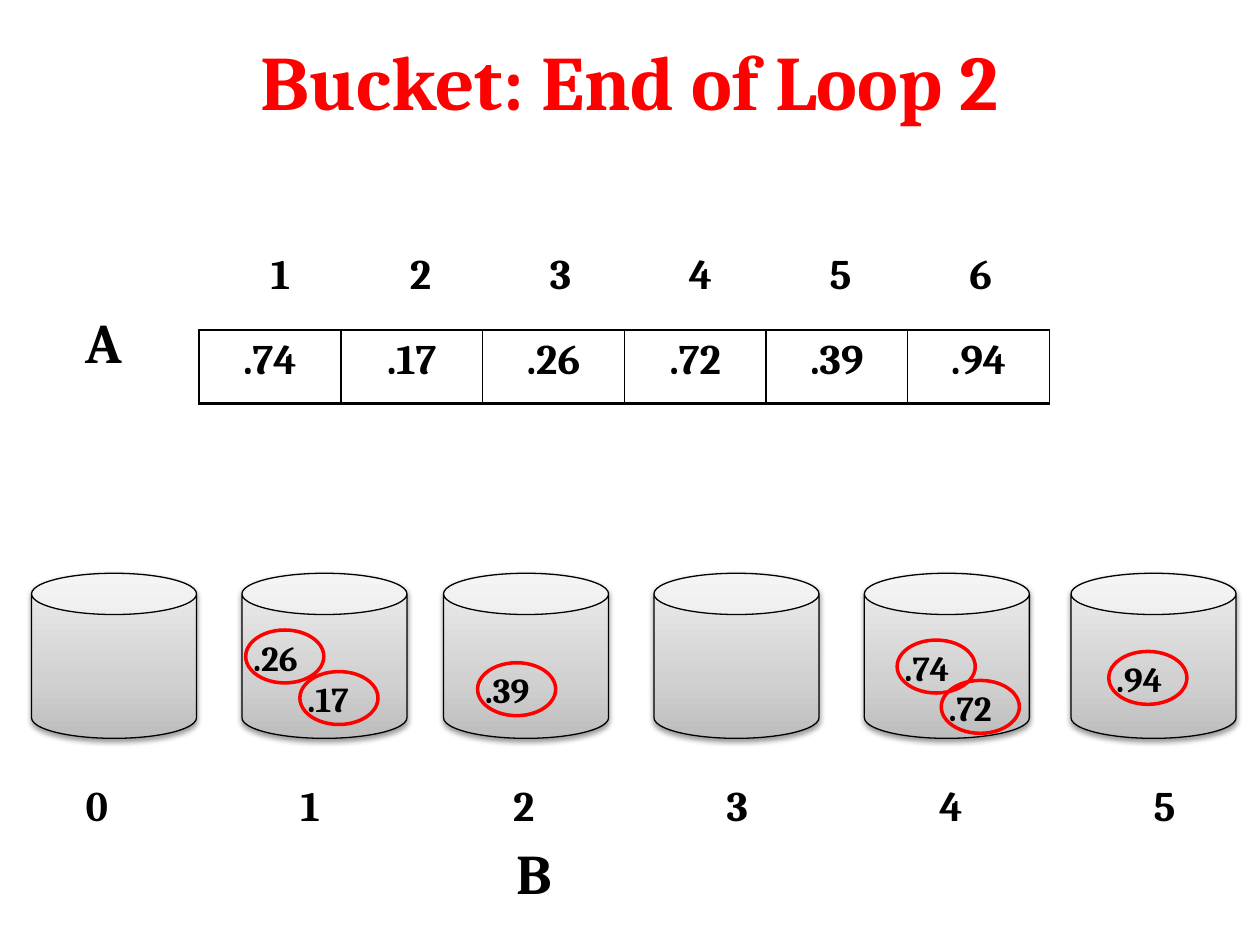
"""Build the bucket sort slide showing array A spread over buckets B."""
import lxml.etree
import pptx
import pptx.dml.color
import pptx.enum.dml
import pptx.enum.shapes
import pptx.enum.text
import pptx.oxml
import pptx.oxml.ns
import pptx.util

Inches = pptx.util.Inches
Pt = pptx.util.Pt
SHAPE = pptx.enum.shapes.MSO_SHAPE
CENTER = pptx.enum.text.PP_ALIGN.CENTER

THEME = {
    "font": "Cambria",
    "ink": "000000",
    "accent": "FF0000",
    "bucket_stops": [(0, "BDBDBD"), (35, "D1D1D1"), (100, "EEEEEE")],
    "title": 44,
    "name": 32,
    "cell": 24,
    "ball": 20,
}

TITLE = "Bucket: End of Loop 2"
ARRAY_NAMES = [("A", 0.58, 2.39), ("B", 4, 6.61)]
ROWS = [
    {"values": ["1", "2", "3", "4", "5", "6"], "at": (1.67, 1.95, 6.67, 0.5), "borders": {}},
    {"values": [".74", ".17", ".26", ".72", ".39", ".94"], "at": (1.58, 2.62, 6.75, 0.58),
     "borders": {"L": 1, "R": 1, "T": 1, "B": 2}},
    {"values": ["0", "1", "2", "3", "4", "5"], "at": (-0.08, 6.17, 10.17, 0.5), "borders": {}},
]
BUCKET_LEFTS = [0.25, 1.92, 3.52, 5.19, 6.86, 8.5]
BUCKET_TOP, BUCKET_SIZE = 4.55, 1.31
BALLS = [
    (".74", 7.12, 5.08), (".17", 2.38, 5.33), (".26", 1.95, 5),
    (".72", 7.47, 5.4), (".39", 3.79, 5.26), (".94", 8.8, 5.17),
]
BALL_WIDTH, BALL_HEIGHT = 0.62, 0.42
BALL_TEXT_SHIFT = 0.04


def rgb(value):
    return pptx.dml.color.RGBColor.from_string(value)


def write(frame, text, role, color="ink", align=None):
    paragraph = frame.paragraphs[0]
    paragraph.text = text
    paragraph.alignment = align
    font = paragraph.runs[0].font
    style = {"name": THEME["font"], "size": Pt(THEME[role]), "bold": True}
    for attribute, value in style.items():
        setattr(font, attribute, value)
    font.color.rgb = rgb(THEME[color])


def add_label(slide, text, role, left, top, width, height):
    box = slide.shapes.add_textbox(*map(Inches, (left, top, width, height)))
    box.text_frame.word_wrap = True
    write(box.text_frame, text, role)


def add_border(cell, side, width):
    border = pptx.oxml.parse_xml(
        f'<a:ln{side} {pptx.oxml.ns.nsdecls("a")} w="{Pt(width)}"><a:solidFill>'
        f'<a:srgbClr val="{THEME["ink"]}"/></a:solidFill></a:ln{side}>')
    properties = cell._tc.get_or_add_tcPr()
    properties.insert(len(properties) - 1, border)


def add_row(slide, values, at, borders):
    left, top, width, height = map(Inches, at)
    table = slide.shapes.add_table(1, len(values), left, top, width, height).table
    table.first_row = table.horz_banding = False
    for cell, value in zip(table.iter_cells(), values):
        cell.fill.background()
        write(cell.text_frame, value, "cell", align=CENTER)
        for side, line_width in borders.items():
            add_border(cell, side, line_width)


def add_outlined(slide, kind, at, color, width):
    shape = slide.shapes.add_shape(kind, *map(Inches, at))
    shape.shadow.inherit = False
    shape.line.color.rgb = rgb(THEME[color])
    shape.line.width = Pt(width)
    return shape


def add_bucket(slide, left):
    bucket = add_outlined(
        slide, SHAPE.CAN, (left, BUCKET_TOP, BUCKET_SIZE, BUCKET_SIZE), "ink", 0.75)
    bucket.fill.gradient()
    bucket.fill.gradient_angle = 90
    qn = pptx.oxml.ns.qn
    stops = next(bucket.element.iter(qn("a:gsLst")))
    for stop in list(stops):
        stops.remove(stop)
    for position, color in THEME["bucket_stops"]:
        stop = lxml.etree.SubElement(stops, qn("a:gs"), pos=str(position * 1000))
        lxml.etree.SubElement(stop, qn("a:srgbClr"), val=color)
    effects = next(bucket.element.iter(qn("a:effectLst")))
    shadow = lxml.etree.SubElement(
        effects, qn("a:outerShdw"), blurRad=str(Pt(3.1)), dist=str(Pt(1.6)),
        dir="5400000", rotWithShape="0")
    shade = lxml.etree.SubElement(shadow, qn("a:srgbClr"), val=THEME["ink"])
    lxml.etree.SubElement(shade, qn("a:alpha"), val="38000")


def add_ball(slide, value, left, top):
    add_label(slide, value, "ball", left - BALL_TEXT_SHIFT, top, 0.82, 0.44)
    ring = add_outlined(
        slide, SHAPE.OVAL, (left, top, BALL_WIDTH, BALL_HEIGHT), "accent", 2)
    ring.fill.background()


def main():
    deck = pptx.Presentation()
    deck.slide_width, deck.slide_height = Inches(10), Inches(7.5)
    slide = deck.slides.add_slide(deck.slide_layouts[5])
    title = slide.shapes.title
    place = {"left": 0.5, "top": 0.01, "width": 9, "height": 1.25}
    for attribute, value in place.items():
        setattr(title, attribute, Inches(value))
    title.text_frame.vertical_anchor = pptx.enum.text.MSO_ANCHOR.MIDDLE
    write(title.text_frame, TITLE, "title", "accent", CENTER)
    for name, left, top in ARRAY_NAMES:
        add_label(slide, name, "name", left, top, 0.75, 0.64)
    for row in ROWS:
        add_row(slide, **row)
    for left in BUCKET_LEFTS:
        add_bucket(slide, left)
    for ball in BALLS:
        add_ball(slide, *ball)
    deck.save("out.pptx")


if __name__ == "__main__":
    main()
